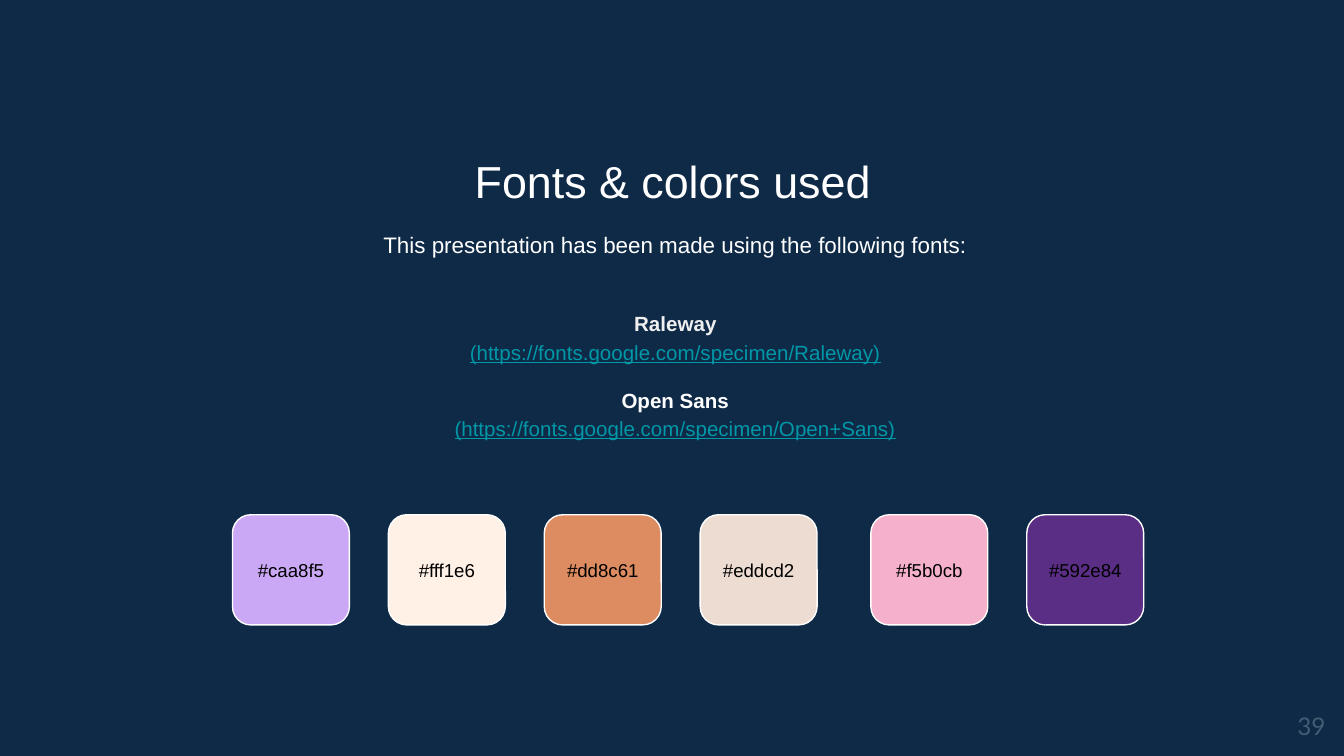
"""Build the slide that lists the fonts and colors used in the presentation."""
import pptx
import pptx.dml.color
import pptx.enum.shapes
import pptx.enum.text
import pptx.oxml.ns
import pptx.util
from lxml import etree

Inches = pptx.util.Inches
Pt = pptx.util.Pt
RGBColor = pptx.dml.color.RGBColor
Align = pptx.enum.text.PP_ALIGN
Anchor = pptx.enum.text.MSO_ANCHOR

NAVY = RGBColor(0x0E, 0x2A, 0x47)
WHITE = RGBColor(0xFF, 0xFF, 0xFF)
PALE_GRAY = RGBColor(0xEF, 0xEF, 0xEF)
TEAL = RGBColor(0x00, 0x97, 0xA7)
BLACK = RGBColor(0x00, 0x00, 0x00)
SLATE = RGBColor(0x43, 0x5D, 0x74)

TITLE = "Fonts & colors used"
INTRO = "This presentation has been made using the following fonts:"
FONTS = [
    ("Raleway", PALE_GRAY, "(https://fonts.google.com/specimen/Raleway)"),
    ("Open Sans", WHITE, "(https://fonts.google.com/specimen/Open+Sans)"),
]
SWATCH_GROUPS = [
    (1.73, ["#caa8f5", "#fff1e6", "#dd8c61", "#eddcd2"]),
    (6.48, ["#f5b0cb", "#592e84"]),
]
SWATCH_TOP, SWATCH_WIDTH, SWATCH_HEIGHT, SWATCH_PITCH = 3.83, 0.87, 0.82, 1.16
LABEL_TOP, LABEL_HEIGHT = 4, 0.48
PAGE_NUMBER = "39"


def place(box, left, top, width, height):
    box.left, box.top = Inches(left), Inches(top)
    box.width, box.height = Inches(width), Inches(height)


def prepare_frame(box, anchor):
    frame = box.text_frame
    frame.word_wrap = True
    frame.auto_size = pptx.enum.text.MSO_AUTO_SIZE.NONE
    frame.vertical_anchor = anchor
    frame.margin_left = frame.margin_right = Inches(0.1)
    frame.margin_top = frame.margin_bottom = Inches(0.1)
    return frame


def write(para, text, size, color, align=Align.CENTER, name="Arial", bold=False,
          underline=False, before=0, spacing=1.0):
    para.text = text
    para.alignment = align
    para.line_spacing = spacing
    para.space_before = Pt(before)
    font = para.font
    font.name, font.size, font.bold, font.underline = name, Pt(size), bold, underline
    font.color.rgb = color


def remove_bullet(para):
    properties = para._p.get_or_add_pPr()
    properties.set("marL", "0")
    properties.set("indent", "0")
    etree.SubElement(properties, pptx.oxml.ns.qn("a:buNone"))


def add_font_list(box):
    frame = prepare_frame(box, Anchor.MIDDLE)
    for index, (name, color, address) in enumerate(FONTS):
        heading = frame.add_paragraph() if index else frame.paragraphs[0]
        link = frame.add_paragraph()
        for para in (heading, link):
            remove_bullet(para)
        write(heading, name, 11, color, bold=True, before=10.6 if index else 0, spacing=1.15)
        write(link, address, 11, TEAL, underline=True, spacing=1.15)


def add_text(page, text, left, top, width, height, anchor, size, color, **style):
    box = page.shapes.add_textbox(Inches(left), Inches(top), Inches(width), Inches(height))
    write(prepare_frame(box, anchor).paragraphs[0], text, size, color, **style)


def add_swatch(page, left, code):
    swatch = page.shapes.add_shape(
        pptx.enum.shapes.MSO_SHAPE.ROUNDED_RECTANGLE,
        Inches(left), Inches(SWATCH_TOP), Inches(SWATCH_WIDTH), Inches(SWATCH_HEIGHT))
    swatch.shadow.inherit = False
    swatch.fill.solid()
    swatch.fill.fore_color.rgb = RGBColor.from_string(code[1:].upper())
    swatch.line.color.rgb = WHITE
    swatch.line.width = Pt(0.75)
    add_text(page, code, left, LABEL_TOP, SWATCH_WIDTH, LABEL_HEIGHT, Anchor.MIDDLE, 10, BLACK)


def main():
    deck = pptx.Presentation()
    deck.slide_width = Inches(10)
    deck.slide_height = deck.slide_width * 9 // 16
    page = deck.slides.add_slide(deck.slide_layouts.get_by_name("Two Content"))
    page.background.fill.solid()
    page.background.fill.fore_color.rgb = NAVY

    title, intro, font_list = list(page.placeholders)[:3]
    place(title, 1.15, 1.04, 7.71, 0.53)
    write(prepare_frame(title, Anchor.TOP).paragraphs[0], TITLE, 24, WHITE)

    place(intro, 1.17, 1.59, 7.71, 0.48)
    para = prepare_frame(intro, Anchor.TOP).paragraphs[0]
    remove_bullet(para)
    write(para, INTRO, 12, WHITE, spacing=1.15)

    place(font_list, 1.17, 2.1, 7.71, 1.37)
    add_font_list(font_list)

    for start, codes in SWATCH_GROUPS:
        for column, code in enumerate(codes):
            add_swatch(page, start + column * SWATCH_PITCH, code)

    add_text(page, PAGE_NUMBER, 9.36, 5.19, 0.6, 0.43, Anchor.TOP, 13, SLATE,
             align=Align.RIGHT, name="Lato")

    deck.save("out.pptx")


if __name__ == "__main__":
    main()
